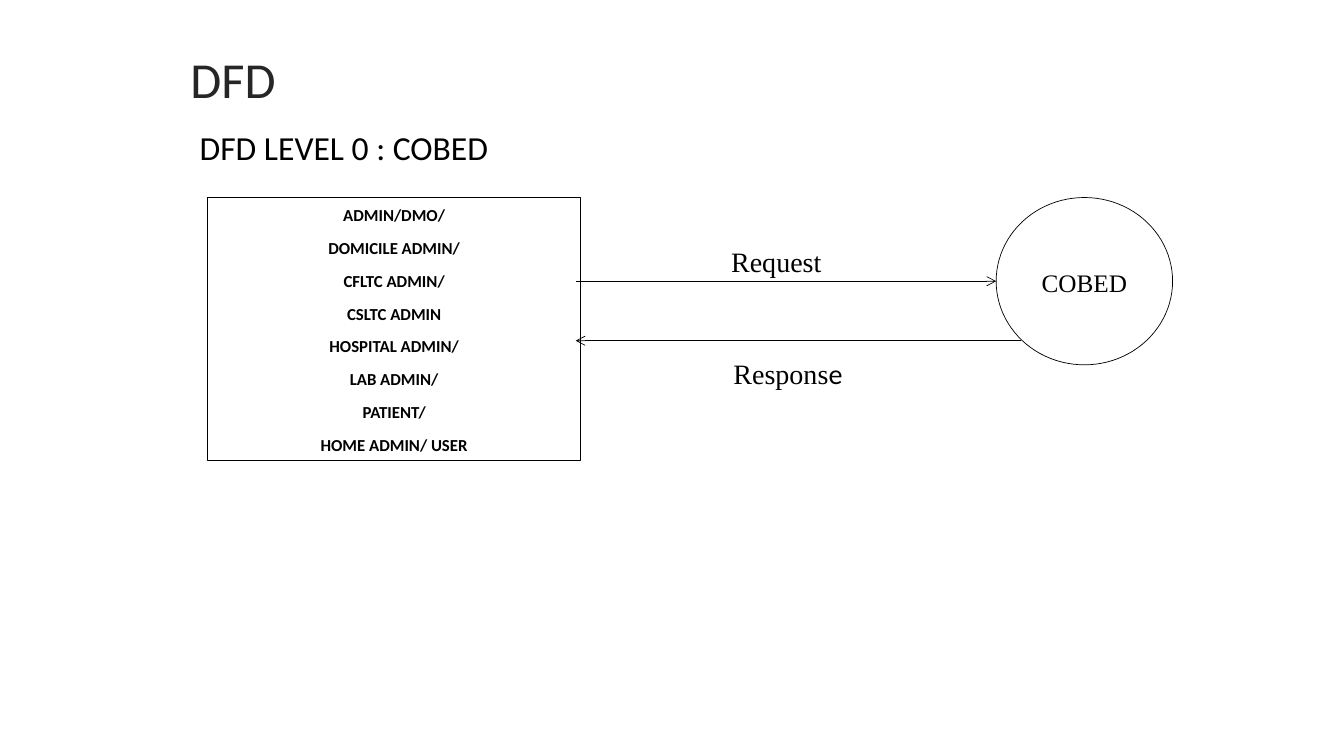
import pptx
import pptx.dml.color
import pptx.enum.shapes
import pptx.enum.text
import pptx.oxml
import pptx.oxml.ns
import pptx.util

PX = 9144  # EMU per px, 100 px to the inch
COLORS = {"ink": "000000", "heading": "262626"}
SANS, SERIF = "Calibri", "Times New Roman"
SHAPE = pptx.enum.shapes.MSO_SHAPE
ALIGN = pptx.enum.text.PP_ALIGN
ANCHOR = pptx.enum.text.MSO_ANCHOR

ROLES = ["ADMIN/DMO/", "DOMICILE ADMIN/", "CFLTC ADMIN/", "CSLTC ADMIN",
         "HOSPITAL ADMIN/", "LAB ADMIN/", "PATIENT/", "HOME ADMIN/ USER"]


def px(*lengths):
    return [pptx.util.Emu(n * PX) for n in lengths]


def rgb(name):
    return pptx.dml.color.RGBColor.from_string(COLORS[name])


def write(tf, text, size, font=SANS, color="ink", bold=False, align=ALIGN.CENTER,
          anchor=ANCHOR.TOP, spacing=1.07, after=8, ending=""):
    """Fill a frame, one paragraph per line; ending is a last run in SANS."""
    tf.word_wrap = True
    tf.auto_size = pptx.enum.text.MSO_AUTO_SIZE.NONE
    tf.vertical_anchor = anchor
    for i, line in enumerate(text.split("\n")):
        p = tf.add_paragraph() if i else tf.paragraphs[0]
        p.alignment, p.line_spacing = align, spacing
        p.space_before, p.space_after = pptx.util.Pt(0), pptx.util.Pt(after)
        for part, face in ((line, font), (ending, SANS)):
            if part:
                r = p.add_run()
                r.text = part
                r.font.name, r.font.size = face, pptx.util.Pt(size)
                r.font.bold = bold
                r.font.color.rgb = rgb(color)


def add_label(slide, box, text, size, **fmt):
    write(slide.shapes.add_textbox(*px(*box)).text_frame, text, size, **fmt)


def add_node(slide, kind, box, text, size, **fmt):
    sp = slide.shapes.add_shape(kind, *px(*box))
    sp.shadow.inherit = False
    sp.fill.background()
    sp.line.color.rgb = rgb("ink")
    sp.line.width = pptx.util.Pt(0.5)
    write(sp.text_frame, text, size, anchor=ANCHOR.MIDDLE, **fmt)


def add_arrow(slide, start, end, y):
    line = slide.shapes.add_connector(
        pptx.enum.shapes.MSO_CONNECTOR.STRAIGHT, *px(start, y, end, y))
    line.line.color.rgb = rgb("ink")
    line.line.width = pptx.util.Pt(0.5)
    tail = pptx.oxml.parse_xml(
        f'<a:tailEnd {pptx.oxml.ns.nsdecls("a")} type="arrow"/>')
    line.line._get_or_add_ln().append(tail)
    effects = pptx.oxml.parse_xml(f'<a:effectLst {pptx.oxml.ns.nsdecls("a")}/>')
    line._element.spPr.append(effects)


def add_headings(slide, left, top):
    title = slide.shapes.title
    title.left, title.top, title.width, title.height = px(left + 9, top + 79, 479, 53)
    write(title.text_frame, "DFD LEVEL 0 : COBED", 24, align=ALIGN.LEFT,
          anchor=ANCHOR.MIDDLE, spacing=0.9, after=0)
    add_label(slide, (left, top, 975, 140), "DFD", 36, color="heading",
              align=ALIGN.LEFT, spacing=1, after=0)


def add_flow(slide, left, top, width):
    # Users on the left, the system on the right
    add_node(slide, SHAPE.RECTANGLE, (left, top, 370, 261), "\n".join(ROLES), 12, bold=True)
    system = left + width - 175
    add_node(slide, SHAPE.OVAL, (system, top, 175, 166), "COBED", 18, font=SERIF)

    # Request goes right, response comes back
    users_edge = left + 365
    add_arrow(slide, users_edge, system, top + 83)
    add_arrow(slide, system + 25, users_edge, top + 142)
    add_label(slide, (left + 489, top + 39, 150, 45), "Request", 20, font=SERIF)
    add_label(slide, (left + 495, top + 150, 161, 58), "Respons", 20, font=SERIF, ending="e")


def main():
    prs = pptx.Presentation()
    prs.slide_width, prs.slide_height = px(1333, 750)
    slide = prs.slides.add_slide(prs.slide_layouts[5])
    add_headings(slide, 179, 43)
    add_flow(slide, 206, 196, 957)
    prs.save("out.pptx")


if __name__ == "__main__":
    main()
